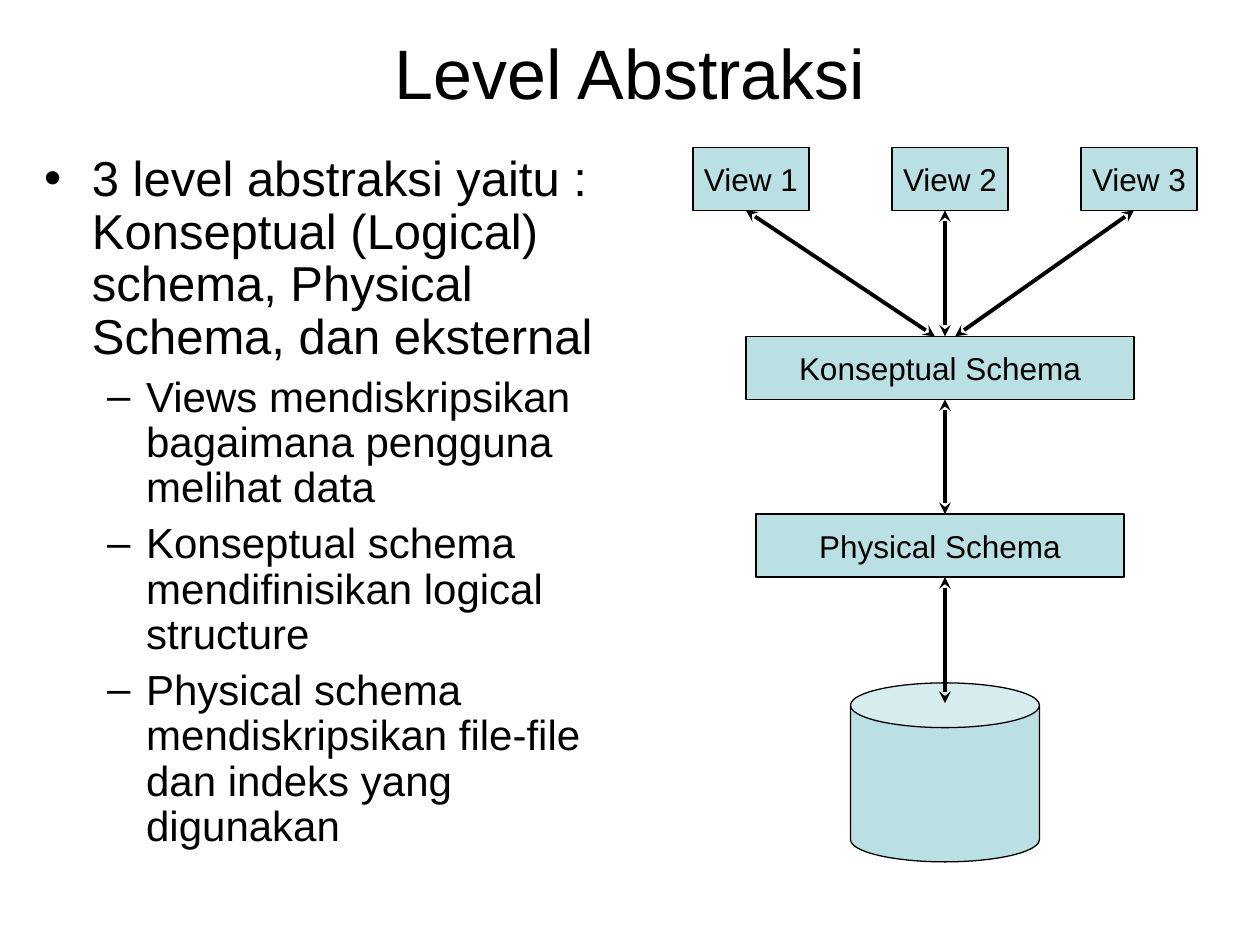
from lxml import etree
from pptx import Presentation
from pptx.dml.color import RGBColor
from pptx.enum.shapes import MSO_CONNECTOR, MSO_SHAPE
from pptx.enum.text import MSO_ANCHOR, MSO_AUTO_SIZE, PP_ALIGN
from pptx.oxml.ns import qn
from pptx.util import Inches, Pt

BLACK = "000000"
PALE_TEAL = "BBE0E3"

LEVEL_INTRO = ("3 level abstraksi yaitu : Konseptual (Logical) schema, "
               "Physical Schema, dan eksternal")
LEVEL_DETAILS = [
    "Views mendiskripsikan bagaimana pengguna melihat data",
    "Konseptual schema mendifinisikan logical structure",
    "Physical schema mendiskripsikan file-file dan indeks yang digunakan",
]


def color(hex_code):
    return RGBColor.from_string(hex_code)


def style_font(paragraph, size):
    paragraph.font.name = "Arial"
    paragraph.font.size = Pt(size)
    paragraph.font.color.rgb = color(BLACK)


def place(shape, left, top, width, height):
    shape.left, shape.top = Inches(left), Inches(top)
    shape.width, shape.height = Inches(width), Inches(height)


def set_bullet(paragraph, char, margin, indent):
    properties = paragraph._p.get_or_add_pPr()
    properties.set("marL", str(Inches(margin)))
    properties.set("indent", str(Inches(indent)))
    etree.SubElement(properties, qn("a:buFont")).set("typeface", "Arial")
    etree.SubElement(properties, qn("a:buChar")).set("char", char)


def add_title(slide, box):
    title = slide.shapes.title
    place(title, *box)
    frame = title.text_frame
    frame.text = "Level Abstraksi"
    frame.auto_size = MSO_AUTO_SIZE.NONE
    frame.vertical_anchor = MSO_ANCHOR.MIDDLE
    frame.paragraphs[0].alignment = PP_ALIGN.CENTER
    style_font(frame.paragraphs[0], 40)


def add_level_list(slide, box):
    body = slide.placeholders[1]
    place(body, *box)
    frame = body.text_frame
    frame.text = "\n".join([LEVEL_INTRO] + LEVEL_DETAILS)
    frame.auto_size = MSO_AUTO_SIZE.NONE
    for index, paragraph in enumerate(frame.paragraphs):
        paragraph.line_spacing = 0.9
        if index == 0:
            paragraph.space_before = Pt(7)
            set_bullet(paragraph, "•", 0.38, -0.38)
            style_font(paragraph, 28)
        else:
            paragraph.level = 1
            paragraph.space_before = Pt(6)
            set_bullet(paragraph, "–", 0.81, -0.31)
            style_font(paragraph, 24)


def add_block(slide, preset, left, top, width, height, label=None):
    block = slide.shapes.add_shape(
        preset, Inches(left), Inches(top), Inches(width), Inches(height))
    block.shadow.inherit = False
    block.fill.solid()
    block.fill.fore_color.rgb = color(PALE_TEAL)
    block.line.color.rgb = color(BLACK)
    block.line.width = Pt(0.75)
    if label:
        frame = block.text_frame
        frame.text = label
        frame.word_wrap = False
        frame.vertical_anchor = MSO_ANCHOR.MIDDLE
        frame.paragraphs[0].alignment = PP_ALIGN.CENTER
        style_font(frame.paragraphs[0], 18)
    return block


def add_double_arrow(slide, x1, y1, x2, y2):
    arrow = slide.shapes.add_connector(
        MSO_CONNECTOR.STRAIGHT, Inches(x1), Inches(y1), Inches(x2), Inches(y2))
    arrow.line.color.rgb = color(BLACK)
    arrow.line.width = Pt(2.25)
    outline = arrow.line._get_or_add_ln()
    for end in ("a:headEnd", "a:tailEnd"):
        etree.SubElement(outline, qn(end)).set("type", "stealth")
    etree.SubElement(arrow._element.spPr, qn("a:effectLst"))


def add_schema_diagram(slide, left, top):
    bar_height = 0.5
    axis = left + 2
    conceptual_top = top + 1.5
    physical_top = top + 2.91
    database_top = top + 4.25

    # Views
    for number, offset in enumerate((0, 1.58, 3.08), start=1):
        add_block(slide, MSO_SHAPE.RECTANGLE, left + offset, top,
                  0.92, bar_height, f"View {number}")

    # Schemas and database
    add_block(slide, MSO_SHAPE.RECTANGLE, left + 0.42, conceptual_top,
              3.08, bar_height, "Konseptual Schema")
    add_block(slide, MSO_SHAPE.RECTANGLE, left + 0.5, physical_top,
              2.92, bar_height, "Physical Schema")
    database = add_block(slide, MSO_SHAPE.CAN, axis - 0.75, database_top, 1.5, 1.42)
    database.adjustments[0] = 0.25

    # Arrows from the views to the conceptual schema
    for start, end in ((left + 0.42, axis - 0.08),
                       (left + 3.5, axis + 0.08),
                       (axis, axis)):
        add_double_arrow(slide, start, top + bar_height, end, conceptual_top)

    # Arrows down the central axis
    add_double_arrow(slide, axis, conceptual_top + bar_height, axis, physical_top)
    add_double_arrow(slide, axis, physical_top + bar_height, axis, database_top + 0.16)


def main():
    presentation = Presentation()
    presentation.slide_width = Inches(10)
    presentation.slide_height = Inches(7.5)
    slide = presentation.slides.add_slide(presentation.slide_layouts[1])
    add_title(slide, (0.5, 0.3, 9, 0.53))
    add_level_list(slide, (0.25, 1.17, 4.58, 6.17))
    add_schema_diagram(slide, 5.5, 1.17)
    presentation.save("out.pptx")


if __name__ == "__main__":
    main()
